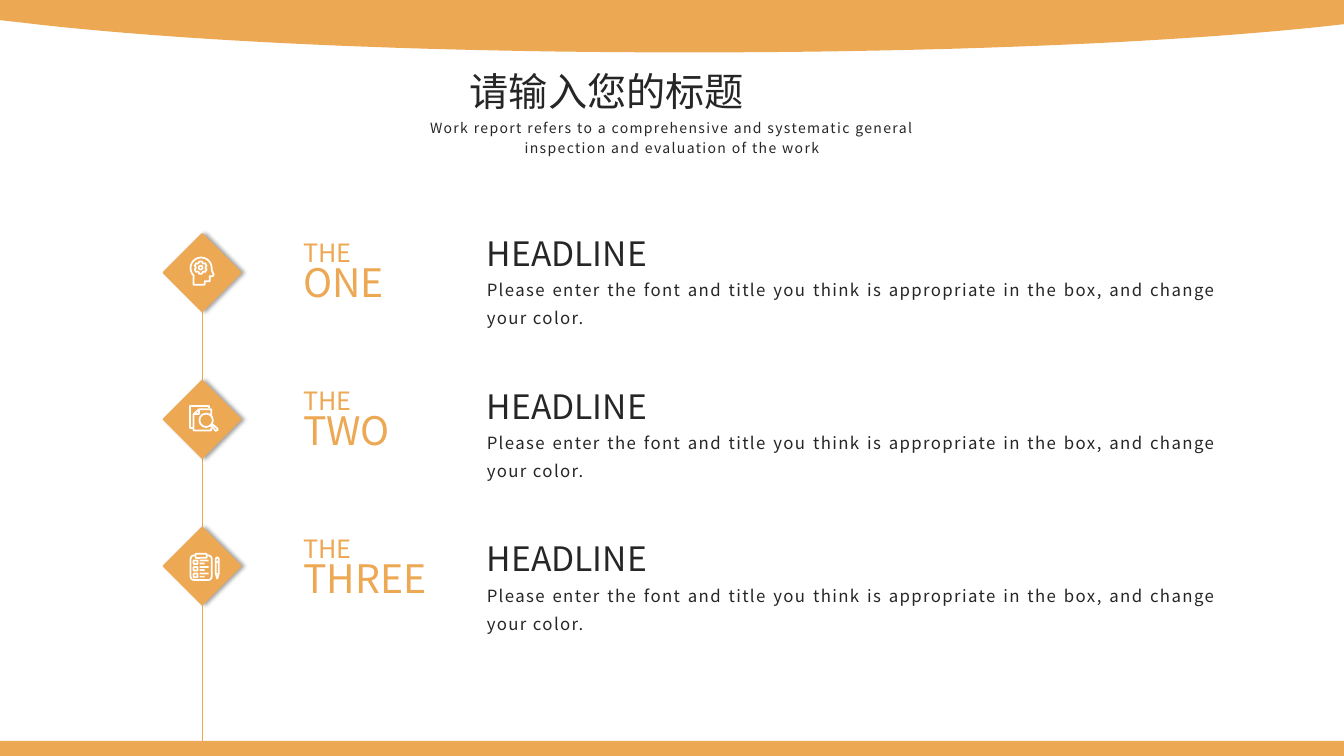
from dataclasses import dataclass
from math import cos, radians, sin

from lxml.etree import SubElement as Sub
from pptx import Presentation
from pptx.dml.color import RGBColor as RGB
from pptx.enum.shapes import MSO_CONNECTOR as Link, MSO_SHAPE as Kind
from pptx.enum.text import MSO_ANCHOR as Anchor, MSO_AUTO_SIZE as Fit, PP_ALIGN as Align
from pptx.oxml.ns import qn
from pptx.util import Inches, Pt


@dataclass(frozen=True)
class Theme:
    gold: str = "EDA853"
    ink: str = "262626"
    white: str = "FFFFFF"
    font: str = "Noto Sans CJK SC"
    big: int = 28
    head: int = 24
    mid: int = 18
    body: int = 12
    small: int = 10
    stroke: float = 1.25


def arc(x, y, r, start, end, step=15):
    return [(x + r * cos(radians(a)), y + r * sin(radians(a)))
            for a in range(start, end + 1, step)]


def curve(a, b, c, d, steps=24):
    ts = [i / steps for i in range(steps + 1)]
    return [tuple((1 - t) ** 3 * p + 3 * t * (1 - t) ** 2 * q + 3 * t * t * (1 - t) * r + t ** 3 * s
                  for p, q, r, s in zip(a, b, c, d)) for t in ts]


def write(frame, paras, font, tone, size, align=Align.JUSTIFY, lead=None, track=0):
    frame.word_wrap = True
    frame.auto_size = Fit.SHAPE_TO_FIT_TEXT
    frame.vertical_anchor = Anchor.TOP
    for i, runs in enumerate([[(paras, size)]] if isinstance(paras, str) else paras):
        para = frame.add_paragraph() if i else frame.paragraphs[0]
        para.alignment = align
        if lead:
            para.line_spacing = Pt(lead)
        for words, pts in runs:
            run = para.add_run()
            run.text = words
            run.font.size = Pt(pts)
            run.font.name = font
            run.font.color.rgb = RGB.from_string(tone)
            props = run._r.get_or_add_rPr()
            Sub(props, qn("a:ea")).set("typeface", font)
            if track:
                props.set("spc", str(track * 100))


class Deck:
    """Draws on one slide over a grid of 0.1 inch cells, from a movable origin."""

    def __init__(self, theme):
        self.theme = theme
        self.cell = Inches(0.1)
        self.file = Presentation()
        self.file.slide_width = Inches(13.33)
        self.file.slide_height = Inches(7.5)
        self.slide = self.file.slides.add_slide(self.file.slide_layouts[5])
        self.shapes = self.slide.shapes
        self.move(0, 0)

    def move(self, x, y):
        self.x, self.y = x, y

    def spot(self, x, y):
        return round((self.x + x) * self.cell), round((self.y + y) * self.cell)

    def box(self, x, y, w, h):
        return *self.spot(x, y), round(w * self.cell), round(h * self.cell)

    def paint(self, shape, fill, line, width):
        shape.shadow.inherit = False
        if fill:
            shape.fill.solid()
            shape.fill.fore_color.rgb = RGB.from_string(fill)
        else:
            shape.fill.background()
        if line:
            shape.line.color.rgb = RGB.from_string(line)
            shape.line.width = Pt(width)
        else:
            shape.line.fill.background()
        return shape

    def shape(self, kind, x, y, w, h, fill=None, line=None, width=Theme.stroke):
        return self.paint(self.shapes.add_shape(kind, *self.box(x, y, w, h)), fill, line, width)

    def ring(self, x, y, r):
        return self.shape(Kind.OVAL, x - r, y - r, 2 * r, 2 * r, line=self.theme.white)

    def draw(self, *loops, fill=None, line=None, close=False):
        first, *rest = [[self.spot(*p) for p in loop] for loop in loops]
        form = self.shapes.build_freeform(*first[0])
        form.add_line_segments(first[1:], close=close)
        for loop in rest:
            form.move_to(*loop[0])
            form.add_line_segments(loop[1:], close=close)
        return self.paint(form.convert_to_shape(), fill, line, self.theme.stroke)

    def line(self, start, end, tone, width):
        link = self.shapes.add_connector(Link.STRAIGHT, *self.spot(*start), *self.spot(*end))
        link.line.color.rgb = RGB.from_string(tone)
        link.line.width = Pt(width)
        Sub(link._element.spPr, qn("a:effectLst"))

    def gem(self, size):
        gem = self.shape(Kind.DIAMOND, 0, 0, size, size, self.theme.gold, self.theme.gold, 1)
        glow = Sub(gem._element.spPr.find(qn("a:effectLst")), qn("a:outerShdw"),
                   blurRad=str(Pt(3)), dist=str(Pt(2)), dir="0", algn="l", rotWithShape="0")
        Sub(Sub(glow, qn("a:srgbClr"), val="000000"), qn("a:alpha"), val="36000")

    def text(self, x, y, w, h, paras, size, tone=Theme.ink, **look):
        box = self.shapes.add_textbox(*self.box(x, y, w, h))
        write(box.text_frame, paras, self.theme.font, tone, size, **look)

    def title(self, x, y, w, h, words):
        head = self.shapes.title
        head.left, head.top, head.width, head.height = self.box(x, y, w, h)
        write(head.text_frame, words, self.theme.font, self.theme.ink, self.theme.big)


def mind(deck):
    white = deck.theme.white
    deck.draw([(3, 5.05), *arc(3.75, 3.4, 1.05, 135, 360), (4.8, 3.6), (5, 4.05), (4.9, 4.2),
               (4.6, 4.2), (4.6, 4.7), (4.1, 4.7), (4.1, 5.05)], line=white, close=True)
    gear = [p for a in range(30, 390, 60) for turn, r in ((-24, 0.48), (-14, 0.62), (14, 0.62), (24, 0.48))
            for p in arc(3.7, 3.35, r, a + turn, a + turn)]
    deck.draw(gear, line=white, close=True)
    deck.ring(3.7, 3.35, 0.19)


def search(deck):
    white = deck.theme.white
    deck.draw([(2.9, 4.75), (2.65, 4.75), (2.65, 2.55), (4.55, 2.55), (4.55, 2.75)],
              [(4.75, 3.45), (4.75, 2.85), (3.55, 2.85), (3, 3.35), (3, 4.95), (4.75, 4.95), (4.75, 4.7)],
              [(3.55, 2.85), (3.55, 3.35), (3, 3.35)], line=white)
    deck.ring(4.25, 3.95, 0.67)
    deck.draw([(4.75, 4.5), (5.2, 5), (5.4, 4.9), (5.35, 4.75), (4.88, 4.35)], line=white, close=True)


def tasks(deck):
    white = deck.theme.white
    deck.shape(Kind.ROUNDED_RECTANGLE, 2.7, 2.8, 2.1, 2.45, line=white)
    deck.shape(Kind.ROUNDED_RECTANGLE, 3.2, 2.65, 1.1, 0.4, deck.theme.gold, white)
    for i in range(3):
        y = 3.3 + 0.65 * i
        deck.shape(Kind.ROUNDED_RECTANGLE, 3, y, 0.4, 0.36, line=white)
        for drop, wide in ((-0.08, 0.9), (0.22, 0.5)):
            deck.shape(Kind.ROUNDED_RECTANGLE, 3.6, y + drop, wide, 0.17, white)
    deck.draw([(5.2, 3.1), (5.35, 3), (5.5, 3.1), (5.5, 4.6), (5.35, 5.1), (5.2, 4.6)],
              [(5.2, 3.45), (5.5, 3.45)], [(5.2, 4.6), (5.5, 4.6)], line=white, close=True)


def main():
    look = Theme()
    deck = Deck(look)
    deck.draw([(0, 0), (0, 2), *curve((1.8, 2.2), (17.6, 4.1), (41.5, 5.2), (68.3, 5.2)),
               *curve((68.3, 5.2), (92.8, 5.2), (115, 4.3), (130.6, 2.7)),
               (133.3, 2.4), (133.3, 0)], fill=look.gold, close=True)
    deck.shape(Kind.RECTANGLE, 0, 73.5, 133.3, 1.5, look.gold)
    deck.title(45.6, 6.2, 42.1, 5.7, "请输入您的标题")
    deck.text(37.4, 11.1, 58.5, 4.7, "Work report refers to a comprehensive and systematic general "
              "inspection and evaluation of the work", look.small, align=Align.CENTER, lead=14, track=1)
    deck.line((20.1, 25.7), (20.1, 75), look.gold, 0.5)
    steps = (("ONE", mind), ("TWO", search), ("THREE", tasks))
    for i, (name, icon) in enumerate(steps):
        deck.move(16.2, 23.2 + 14.55 * i)
        deck.gem(7.7)
        icon(deck)
        deck.move(29.1, 22.9 + 14.65 * i)
        deck.text(0, 0, 16.6, 8, [[("THE", look.mid), (" ", look.big)], [(name, look.big)]],
                  look.big, look.gold, lead=25)
        deck.move(47.3, 22.6 + 15.15 * i)
        deck.text(0, 0, 22.1, 5, "HEADLINE", look.head)
        deck.text(0, 3.9, 74.4, 3.5, "Please enter the font and title you think is appropriate "
                  "in the box, and change your color.", look.body, lead=20, track=1)
    deck.file.save("out.pptx")


if __name__ == "__main__":
    main()
